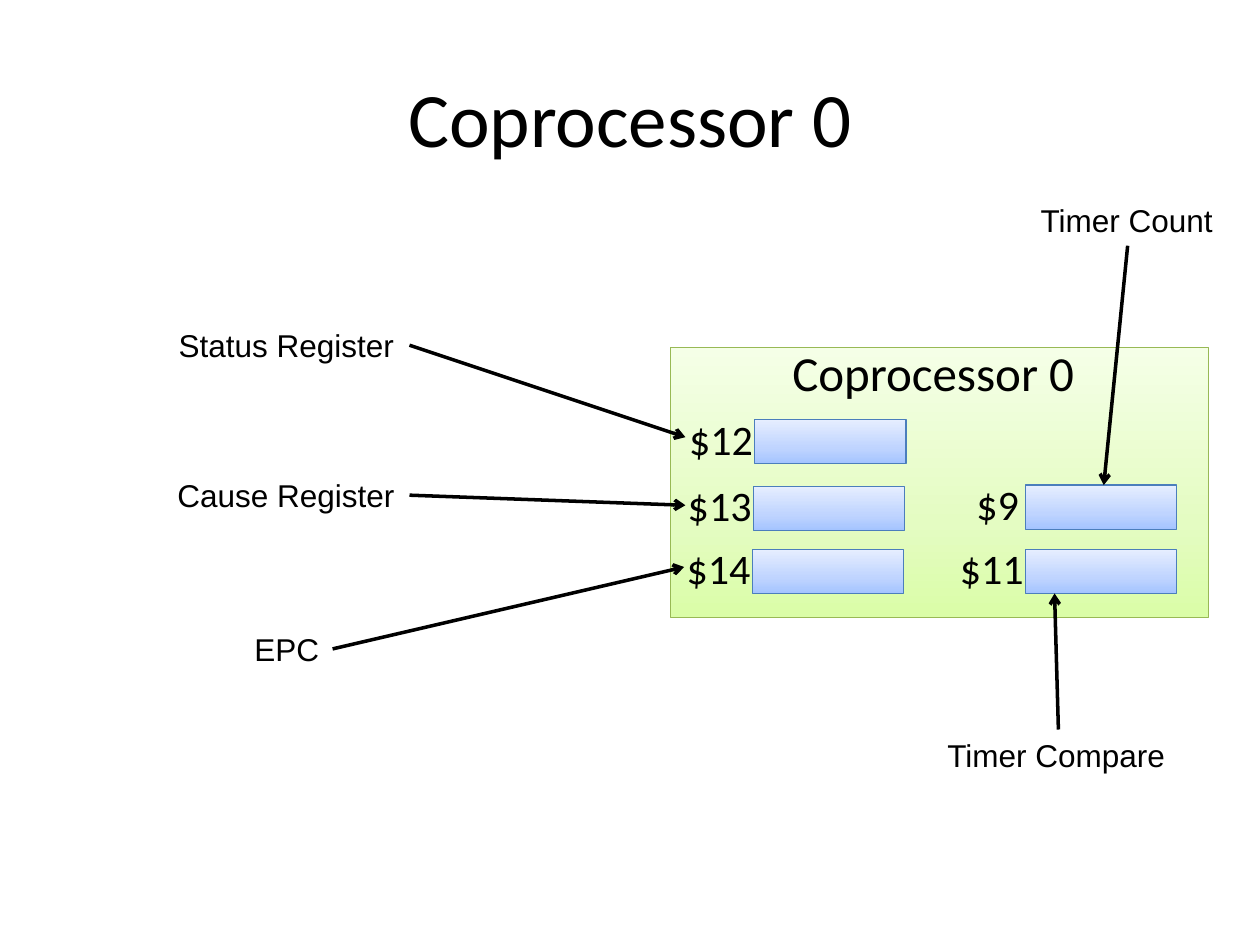
"""Build the Coprocessor 0 register slide."""
from copy import deepcopy
from pptx import Presentation
from pptx.dml.color import RGBColor
from pptx.enum.shapes import MSO_CONNECTOR, MSO_SHAPE
from pptx.enum.text import MSO_ANCHOR, PP_ALIGN
from pptx.oxml.ns import qn
from pptx.util import Inches, Pt

RECT = MSO_SHAPE.RECTANGLE
STRAIGHT = MSO_CONNECTOR.STRAIGHT
MIDDLE = MSO_ANCHOR.MIDDLE
CENTER = PP_ALIGN.CENTER
BLACK = RGBColor(0, 0, 0)
GREEN_LINE = RGBColor(0x98, 0xB9, 0x55)
BLUE_LINE = RGBColor(0x4B, 0x7E, 0xBC)
GREENS = [RGBColor(0xDA, 0xFD, 0xA7), RGBColor(0xE4, 0xFC, 0xC2), RGBColor(0xF5, 0xFF, 0xE7)]
BLUES = [RGBColor(0xA4, 0xC4, 0xFF), RGBColor(0xBF, 0xD4, 0xFF), RGBColor(0xE6, 0xEE, 0xFF)]
STOPS = [0, 0.35, 1]

prs = Presentation()
prs.slide_width, prs.slide_height = Inches(10), Inches(7.5)
s = prs.slides.add_slide(prs.slide_layouts[5])


def add_box(x, y, w, h, colors, line):
    sp = s.shapes.add_shape(RECT, Inches(x), Inches(y), Inches(w), Inches(h))
    sp.shadow.inherit = False
    sp.fill.gradient()
    sp.fill.gradient_angle = 90
    stops = sp._element.spPr.find(qn("a:gradFill")).find(qn("a:gsLst"))
    stops.insert(1, deepcopy(stops[0]))
    for stop, pos, color in zip(sp.fill.gradient_stops, STOPS, colors):
        stop.position = pos
        stop.color.rgb = color
    sp.line.color.rgb = line
    sp.line.width = Pt(0.75)


def add_text(sp, text, size, font):
    r = sp.text_frame.paragraphs[0].add_run()
    r.text = text
    r.font.size, r.font.name = Pt(size), font
    r.font.color.rgb = BLACK


title = s.shapes.title
title.left, title.top, title.width, title.height = Inches(0.5), Inches(0.3), Inches(9), Inches(1.25)
title.text_frame.vertical_anchor = MIDDLE
title.text_frame.paragraphs[0].alignment = CENTER
add_text(title, "Coprocessor 0", 44, "Calibri")

add_box(5.32, 2.76, 4.27, 2.14, GREENS, GREEN_LINE)
registers = [
    ("$12", 5.37, 5.99, 3.33),
    ("$13", 5.36, 5.98, 3.86),
    ("$14", 5.35, 5.97, 4.36),
    ("$9", 7.65, 8.14, 3.85),
    ("$11", 7.52, 8.14, 4.36),
]
for name, name_x, box_x, y in registers:
    add_box(box_x, y, 1.2, 0.35, BLUES, BLUE_LINE)

labels = [("Coprocessor 0", 6.19, 2.67, 2.46, 0.57, 28, "Calibri")]
for name, name_x, box_x, y in registers:
    labels.append((name, name_x, y - 0.1, 0.24 + 0.16 * len(name), 0.5, 24, "Calibri"))

callouts = [
    ("Timer Count", 8.16, 1.55, 1.58, (8.95, 1.95), (8.76, 3.85)),
    ("Timer Compare", 7.42, 5.79, 1.95, (8.4, 5.79), (8.37, 4.71)),
    ("Status Register", 1.32, 2.54, 1.93, (3.25, 2.74), (5.44, 3.47)),
    ("Cause Register", 1.31, 3.73, 1.94, (3.25, 3.93), (5.44, 4.01)),
    ("EPC", 1.92, 4.95, 0.72, (2.64, 5.15), (5.43, 4.5)),
]
for text, x, y, w, start, end in callouts:
    labels.append((text, x, y, w, 0.4, 18, "Arial"))
    arrow = s.shapes.add_connector(STRAIGHT, *[Inches(v) for v in start + end])
    arrow.line.color.rgb = BLACK
    arrow.line.width = Pt(2)
    ln = arrow.line._get_or_add_ln()
    ln.append(ln.makeelement(qn("a:tailEnd"), {"type": "arrow"}))
    sppr = arrow._element.spPr
    sppr.append(sppr.makeelement(qn("a:effectLst"), {}))

for text, x, y, w, h, size, font in labels:
    sp = s.shapes.add_textbox(Inches(x), Inches(y), Inches(w), Inches(h))
    sp.text_frame.word_wrap = False
    add_text(sp, text, size, font)

prs.save("out.pptx")
